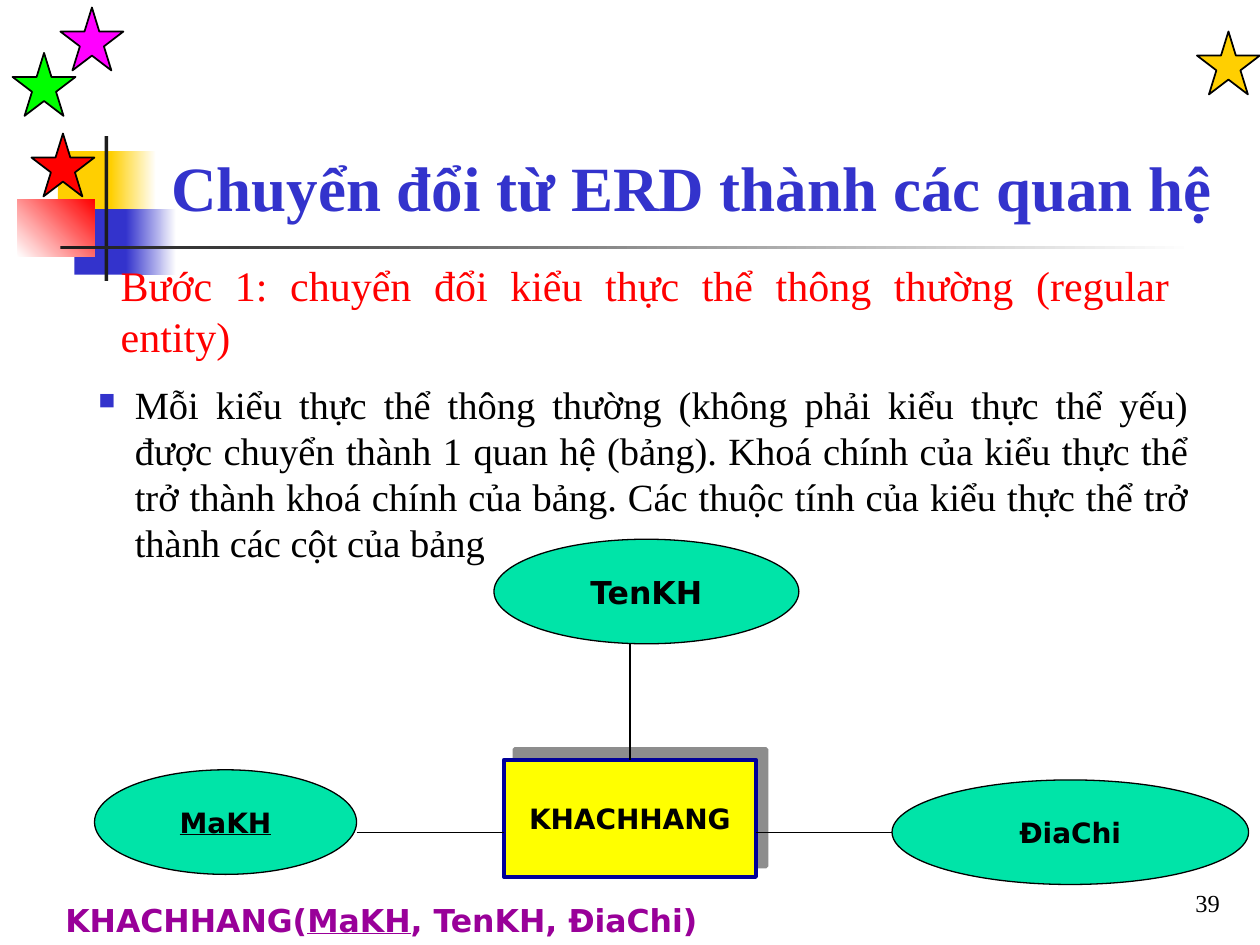
from dataclasses import dataclass

from lxml.etree import SubElement
from pptx import Presentation
from pptx.dml.color import RGBColor
from pptx.enum.shapes import MSO_CONNECTOR, MSO_SHAPE as SHAPE
from pptx.enum.text import MSO_ANCHOR as ANCHOR, PP_ALIGN as ALIGN
from pptx.oxml.ns import qn
from pptx.util import Inches, Pt


@dataclass(frozen=True)
class Theme:
    serif: str = "Times New Roman"
    sans: str = "DejaVu Sans"
    black: str = "000000"
    white: str = "FFFFFF"
    charcoal: str = "1C1C1C"
    blue: str = "3333CC"
    gold: str = "FFCF01"
    red: str = "FF0000"
    green: str = "00FF00"
    magenta: str = "FF00FF"
    yellow: str = "FFFF00"
    navy: str = "000099"
    mint: str = "00E4A8"
    purple: str = "990099"
    title: int = 36
    step: int = 24
    body: int = 22
    large_label: int = 18
    label: int = 16
    number: int = 14


THEME = Theme()
INSETS = (0.1, 0.05, 0.1, 0.05)


def rgb(value):
    return RGBColor.from_string(value)


def add_bullet(paragraph, indent):
    """Give the paragraph a small blue square and a hanging indent."""
    properties = paragraph._p.get_or_add_pPr()
    properties.set("marL", str(Inches(indent)))
    properties.set("indent", str(-Inches(indent)))
    color = SubElement(properties, qn("a:buClr"))
    SubElement(color, qn("a:srgbClr"), val=THEME.blue)
    SubElement(properties, qn("a:buSzPct"), val="60000")
    SubElement(properties, qn("a:buChar"), char="■")


def write_text(shape, *parts, size, font=THEME.serif, color=THEME.black, bold=False,
               underlined=(), align=ALIGN.LEFT, anchor=ANCHOR.TOP, wrap=True,
               insets=INSETS, bullet_indent=None):
    """Fill the shape with one paragraph; parts listed in underlined get a line."""
    frame = shape.text_frame
    frame.word_wrap = wrap
    frame.vertical_anchor = anchor
    (frame.margin_left, frame.margin_top,
     frame.margin_right, frame.margin_bottom) = map(Inches, insets)
    paragraph = frame.paragraphs[0]
    paragraph.alignment = align
    if bullet_indent:
        add_bullet(paragraph, bullet_indent)
    for part in parts:
        run = paragraph.add_run()
        run.text = part
        run.font.name = font
        run.font.size = Pt(size)
        run.font.bold = bold
        run.font.underline = part in underlined
        run.font.color.rgb = rgb(color)


def add_text(slide, box, *parts, **text_format):
    write_text(slide.shapes.add_textbox(*map(Inches, box)), *parts, **text_format)


def add_shape(slide, kind, box, fill, line=None, line_width=1):
    """Add a preset shape; a pair of colours as fill makes a gradient."""
    shape = slide.shapes.add_shape(kind, *map(Inches, box))
    shape.shadow.inherit = False
    if isinstance(fill, tuple):
        shape.fill.gradient()
        shape.fill.gradient_angle = 0
        for stop, color in zip(shape.fill.gradient_stops, fill):
            stop.color.rgb = rgb(color)
    else:
        shape.fill.solid()
        shape.fill.fore_color.rgb = rgb(fill)
    if line:
        shape.line.color.rgb = rgb(line)
        shape.line.width = Pt(line_width)
    else:
        shape.line.fill.background()
    return shape


def add_link(slide, start, end):
    link = slide.shapes.add_connector(
        MSO_CONNECTOR.STRAIGHT, *map(Inches, start + end))
    link.line.color.rgb = rgb(THEME.black)
    link.line.width = Pt(0.75)
    SubElement(link._element.spPr, qn("a:effectLst"))
    return link


def add_entity(slide, box, name):
    """Add an entity rectangle with a shadow up and to the right."""
    entity = add_shape(slide, SHAPE.RECTANGLE, box, THEME.yellow, THEME.navy, 2.25)
    effects = entity._element.spPr.find(qn("a:effectLst"))
    shadow = SubElement(effects, qn("a:outerShdw"), blurRad="0", dist=str(Pt(8.5)),
                        dir=str(315 * 60000), algn="ctr", rotWithShape="0")
    color = SubElement(shadow, qn("a:srgbClr"), val=THEME.charcoal)
    SubElement(color, qn("a:alpha"), val="50000")
    write_text(entity, name, size=THEME.label, font=THEME.sans, bold=True,
               align=ALIGN.CENTER, anchor=ANCHOR.MIDDLE)
    return entity


def add_attribute(slide, box, name, size=THEME.label, key=False):
    attribute = add_shape(slide, SHAPE.OVAL, box, THEME.mint, THEME.black, 0.75)
    write_text(attribute, name, size=size, font=THEME.sans, bold=True, wrap=False,
               underlined=(name,) if key else (), align=ALIGN.CENTER,
               anchor=ANCHOR.MIDDLE)


def add_decoration(slide):
    # Coloured blocks and rules
    blocks = [
        ((0.46, 1.2, 0.48, 0.52), THEME.gold),
        ((0.88, 1.2, 0.36, 0.52), (THEME.gold, THEME.white)),
        ((0.59, 1.66, 0.46, 0.52), THEME.blue),
        ((1, 1.66, 0.4, 0.52), (THEME.blue, THEME.white)),
    ]
    for box, fill in blocks:
        add_shape(slide, SHAPE.RECTANGLE, box, fill)
    red_block = add_shape(slide, SHAPE.RECTANGLE, (0.14, 1.58, 0.61, 0.46),
                          (THEME.white, THEME.red))
    red_block.fill.gradient_angle = 45
    add_shape(slide, SHAPE.RECTANGLE, (0.83, 1.08, 0.03, 1.15), THEME.charcoal)
    add_shape(slide, SHAPE.RECTANGLE, (0.48, 1.95, 9, 0.03),
              (THEME.charcoal, THEME.white))

    # Stars
    stars = [(9.5, 0.25, THEME.gold), (0.25, 1.06, THEME.red),
             (0.1, 0.42, THEME.green), (0.48, 0.06, THEME.magenta)]
    for left, top, color in stars:
        add_shape(slide, SHAPE.STAR_5_POINT, (left, top, 0.5, 0.5), color, THEME.black)


def add_diagram(slide):
    entity = add_entity(slide, (4, 6.03, 2, 0.93), "KHACHHANG")
    name_link = add_link(slide, (5, 5.08), (5, 6.03))
    name_link.end_connect(entity, 0)
    add_attribute(slide, (0.75, 6.11, 2.08, 0.83), "MaKH", key=True)
    add_attribute(slide, (7.08, 6.19, 2.83, 0.83), "ĐiaChi")
    add_attribute(slide, (3.92, 4.28, 2.42, 0.83), "TenKH", size=THEME.large_label)
    for left, right in [(2.83, 4), (6, 7.08)]:
        add_link(slide, (left, 6.61), (right, 6.61))


def main():
    presentation = Presentation()
    presentation.slide_width = Inches(10)
    presentation.slide_height = Inches(7.5)
    slide = presentation.slides.add_slide(presentation.slide_layouts[6])

    add_decoration(slide)

    # Headings and explanation
    add_text(slide, (0.86, 2.08, 8.52, 0.83),
             "Bước 1: chuyển đổi kiểu thực thể thông thường (regular entity)",
             size=THEME.step, color=THEME.red, align=ALIGN.JUSTIFY, anchor=ANCHOR.BOTTOM)
    add_text(slide, (0.58, 2.92, 8.95, 4.58),
             "Mỗi kiểu thực thể thông thường (không phải kiểu thực thể yếu) được chuyển "
             "thành 1 quan hệ (bảng). Khoá chính của kiểu thực thể trở thành khoá chính "
             "của bảng. Các thuộc tính của kiểu thực thể trở thành các cột của bảng",
             size=THEME.body, align=ALIGN.JUSTIFY, insets=(0.2, 0.1, 0.1, 0.05),
             bullet_indent=0.29)
    add_text(slide, (1.26, 0.23, 8.52, 1.6), "Chuyển đổi từ ERD thành các quan hệ",
             size=THEME.title, color=THEME.blue, bold=True, anchor=ANCHOR.BOTTOM)

    add_diagram(slide)

    # Resulting relation and slide number
    add_text(slide, (0.42, 7.1, 5.31, 0.4), "KHACHHANG(", "MaKH", ", TenKH, ĐiaChi)",
             size=THEME.large_label, font=THEME.sans, color=THEME.purple, bold=True,
             underlined=("MaKH",))
    add_text(slide, (7.7, 6.83, 2.08, 0.5), "39", size=THEME.number,
             align=ALIGN.RIGHT, anchor=ANCHOR.BOTTOM)

    presentation.save("out.pptx")


if __name__ == "__main__":
    main()
